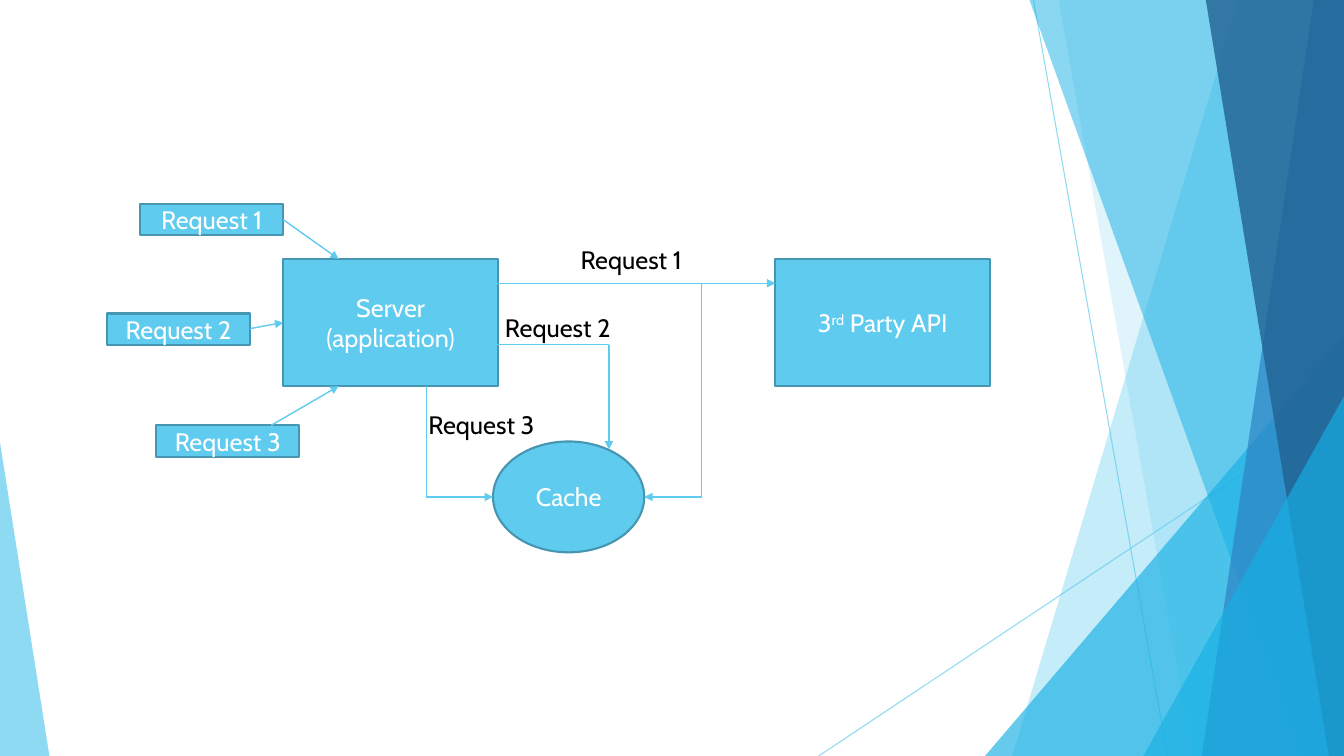
from pptx import Presentation
from pptx.dml.color import RGBColor
from pptx.enum.shapes import MSO_CONNECTOR, MSO_SHAPE
from pptx.enum.text import MSO_ANCHOR, PP_ALIGN
from pptx.oxml.ns import qn
from pptx.oxml.xmlchemy import OxmlElement
from pptx.util import Inches, Pt

RECT, OVAL = MSO_SHAPE.RECTANGLE, MSO_SHAPE.OVAL
TRIANGLE = MSO_SHAPE.ISOSCELES_TRIANGLE
STRAIGHT = MSO_CONNECTOR.STRAIGHT
MIDDLE, CENTER, LEFT = MSO_ANCHOR.MIDDLE, PP_ALIGN.CENTER, PP_ALIGN.LEFT

WIDTH, HEIGHT = 13.33, 7.5
FONT, TEXT_SIZE = "Cabin", 18
SKY, EDGE, CYAN, BLUE, NAVY = "5FCBEF", "4696B1", "17B0E4", "2E83C3", "226292"
WHITE, BLACK = "FFFFFF", "000000"

# Background: thin lines, then facets from back to front
RAYS = [((10.25, 0), (11.58, HEIGHT)), ((WIDTH, 4.03), (8.12, HEIGHT))]
# Bands reach the right edge: top-left x, bottom-left x, colour, opacity
# Triangles: left, top, width, apex position, colour, opacity
FACETS = [
    ("band", (12.28, 10.04), SKY, 36),
    ("band", (10.5, 11.83), SKY, 20),
    ("triangle", (9.77, 3.33, 3.56, 1), CYAN, 66),
    ("band", (10.21, 12.91), CYAN, 50),
    ("band", (13.03, 11.92), BLUE, 70),
    ("band", (11.96, 13.18), NAVY, 80),
    ("triangle", (11.34, 3.93, 1.99, 1), CYAN, 66),
    ("triangle", (0, 4.39, 0.49, 0), SKY, 70),
]

# Diagram: each text is a list of paragraphs, each a list of (text, raised)
BIG, SMALL, ROUND, LABEL = (2.13, 1.26), (1.42, 0.31), (1.5, 1.1), (1.3, 0.4)
NODES = [
    (RECT, (2.81, 2.57), BIG, [[("Server", False)], [("(application)", False)]]),
    (RECT, (7.69, 2.57), BIG,
     [[("3", False), ("rd", True), (" Party API", False)]]),
    (RECT, (1.39, 2.02), SMALL, [[("Request 1", False)]]),
    (RECT, (1.06, 3.11), SMALL, [[("Request 2", False)]]),
    (RECT, (1.55, 4.22), SMALL, [[("Request 3", False)]]),
    (OVAL, (4.89, 4.38), ROUND, [[("Cache", False)]]),
]
LABELS = [("Request 1", (5.66, 2.37)), ("Request 2", (4.91, 3.05)),
          ("Request 3", (4.15, 4.01))]
# Each route ends in an arrowhead
ROUTES = [
    [(2.81, 2.18), (3.36, 2.57)],
    [(2.48, 3.26), (2.81, 3.2)],
    [(2.69, 4.22), (3.36, 3.83)],
    [(4.93, 2.81), (7.69, 2.81)],
    [(6.96, 2.81), (6.96, 4.93), (6.39, 4.93)],
    [(4.93, 3.42), (6.04, 3.42), (6.04, 4.46)],
    [(4.23, 3.83), (4.23, 4.93), (4.89, 4.93)],
]


def rgb(code):
    return RGBColor.from_string(code)


def set_opacity(shape, percent):
    color = next(shape.element.iter(qn("a:srgbClr")))
    alpha = OxmlElement("a:alpha")
    alpha.set("val", str(percent * 1000))
    color.append(alpha)


def add_line(page, start, end, weight, arrow=False):
    line = page.shapes.add_connector(
        STRAIGHT, *[Inches(value) for value in (*start, *end)])
    line.line.color.rgb = rgb(SKY)
    line.line.width = Pt(weight)
    if arrow:
        head = OxmlElement("a:tailEnd")
        head.set("type", "triangle")
        line.line._get_or_add_ln().append(head)
    line.element.spPr.append(OxmlElement("a:effectLst"))
    return line


def add_facet(page, kind, geometry, color, opacity):
    if kind == "band":
        top_x, bottom_x = geometry
        corners = [(Inches(x), Inches(y)) for x, y in (
            (top_x, 0), (WIDTH, 0), (WIDTH, HEIGHT), (bottom_x, HEIGHT))]
        builder = page.shapes.build_freeform(*corners[0])
        builder.add_line_segments(corners[1:], close=True)
        facet = builder.convert_to_shape()
    else:
        left, top, width, apex = geometry
        facet = page.shapes.add_shape(
            TRIANGLE, Inches(left), Inches(top), Inches(width), Inches(HEIGHT - top))
        facet.adjustments[0] = apex
    facet.shadow.inherit = False
    facet.fill.solid()
    facet.fill.fore_color.rgb = rgb(color)
    facet.line.fill.background()
    set_opacity(facet, opacity)


def write(box, paragraphs, color, align):
    frame = box.text_frame
    frame.word_wrap = True
    for index, spans in enumerate(paragraphs):
        para = frame.add_paragraph() if index else frame.paragraphs[0]
        para.alignment = align
        para.font.name, para.font.size = FONT, Pt(TEXT_SIZE)
        para.font.color.rgb = rgb(color)
        for text, raised in spans:
            span = para.add_run()
            span.text = text
            if raised:
                span.font._element.set("baseline", "30000")


def add_node(page, shape, place, size, paragraphs):
    box = page.shapes.add_shape(
        shape, *[Inches(value) for value in (*place, *size)])
    box.shadow.inherit = False
    box.fill.solid()
    box.fill.fore_color.rgb = rgb(SKY)
    box.line.color.rgb = rgb(EDGE)
    box.line.width = Pt(1.5)
    box.text_frame.vertical_anchor = MIDDLE
    write(box, paragraphs, WHITE, CENTER)


def main():
    deck = Presentation()
    deck.slide_width, deck.slide_height = Inches(WIDTH), Inches(HEIGHT)
    page = deck.slides.add_slide(deck.slide_layouts[6])

    # Background
    for start, end in RAYS:
        set_opacity(add_line(page, start, end, 0.75), 70)
    for facet in FACETS:
        add_facet(page, *facet)

    # Diagram
    for node in NODES:
        add_node(page, *node)
    for route in ROUTES:
        for start, end in zip(route, route[1:]):
            add_line(page, start, end, 1, arrow=end == route[-1])
    for text, place in LABELS:
        box = page.shapes.add_textbox(
            *[Inches(value) for value in (*place, *LABEL)])
        write(box, [[(text, False)]], BLACK, LEFT)

    deck.save("out.pptx")


if __name__ == "__main__":
    main()
